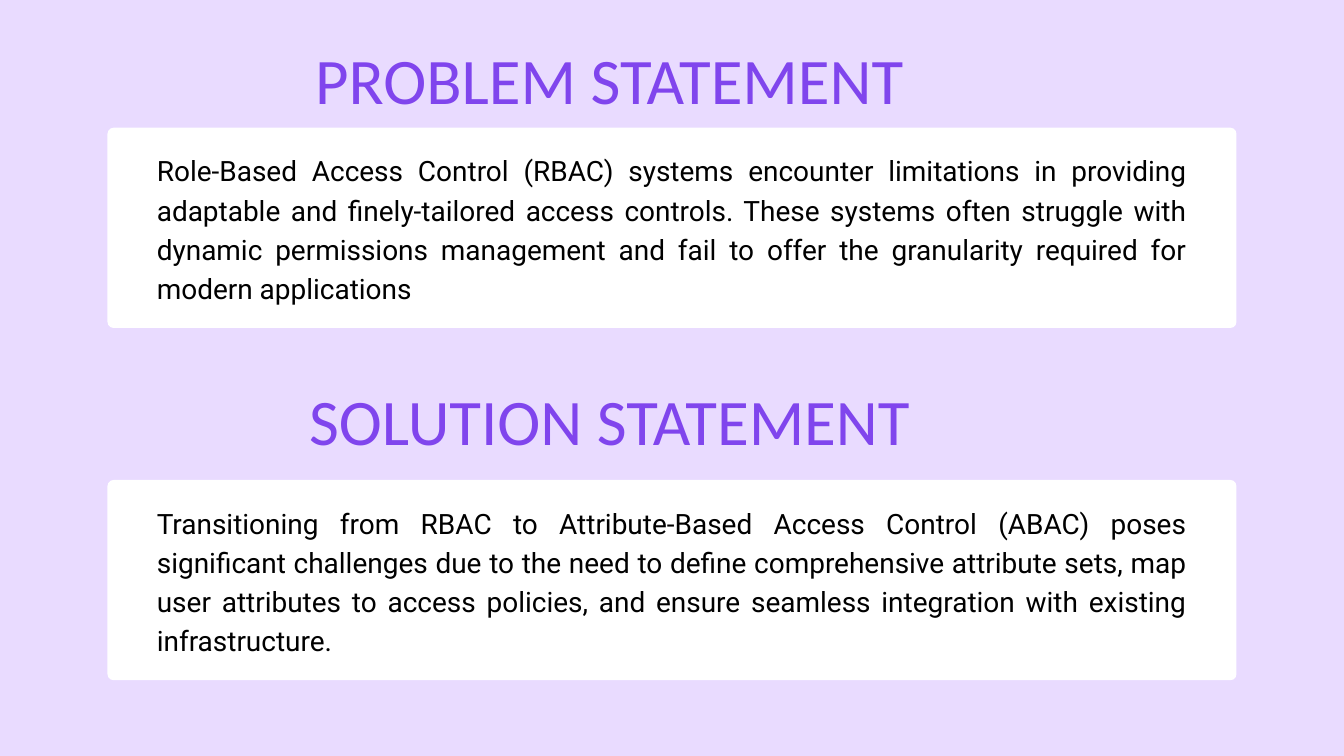
from pptx import Presentation
from pptx.dml.color import RGBColor as RGB
from pptx.enum.shapes import MSO_SHAPE as Shape
from pptx.enum.text import MSO_ANCHOR as Anchor, MSO_AUTO_SIZE as AutoSize, PP_ALIGN as Align
from pptx.util import Pt

SECTIONS = [
    {
        "heading": "PROBLEM STATEMENT",
        "heading_box": (337.7, 28.1, 764.6, 94.3),
        "body": "Role-Based Access Control (RBAC) systems encounter limitations in providing "
                "adaptable and finely-tailored access controls. These systems often struggle with "
                "dynamic permissions management and fail to offer the granularity required for "
                "modern applications",
        "body_index": 1,
        "card_top": 136.8,
    },
    {
        "heading": "SOLUTION STATEMENT",
        "heading_box": (331.2, 393.8, 777.6, 94.3),
        "body": "Transitioning from RBAC to Attribute-Based Access Control (ABAC) poses "
                "significant challenges due to the need to define comprehensive attribute sets, "
                "map user attributes to access policies, and ensure seamless integration with "
                "existing infrastructure.",
        "body_index": 3,
        "card_top": 514.2,
    },
]

THEME = {
    "background": RGB(0xE9, 0xDB, 0xFF),
    "card": RGB(0xFF, 0xFF, 0xFF),
    "heading": {"font": "Calibri", "size": 69.6, "color": RGB(0x80, 0x45, 0xED),
                "spacing": 97.4, "align": Align.LEFT},
    "body": {"font": "Roboto", "size": 30, "color": RGB(0, 0, 0),
             "spacing": 42, "align": Align.JUSTIFY},
}

SLIDE_WIDTH, SLIDE_HEIGHT = 1440, 810
CARD_WIDTH, CARD_HEIGHT, CARD_RADIUS = 1209.6, 214.6, 6.5
CARD_LEFT = (SLIDE_WIDTH - CARD_WIDTH) / 2
BODY_WIDTH, BODY_HEIGHT, BODY_INSET = 1104, 165.6, 22.2
BODY_LEFT = (SLIDE_WIDTH - BODY_WIDTH) / 2


def set_values(target, values):
    for name, value in values.items():
        setattr(target, name, value)


def place(shape, box):
    set_values(shape, dict(zip(("left", "top", "width", "height"), map(Pt, box))))


def write(shape, text, style):
    frame = shape.text_frame
    set_values(frame, {
        "margin_left": 0, "margin_top": 0, "margin_right": 0, "margin_bottom": 0,
        "word_wrap": True, "auto_size": AutoSize.NONE, "vertical_anchor": Anchor.TOP,
        "text": text,
    })
    paragraph = frame.paragraphs[0]
    set_values(paragraph, {"alignment": style["align"], "space_before": Pt(0),
                           "line_spacing": Pt(style["spacing"])})
    font = paragraph.runs[0].font
    set_values(font, {"name": style["font"], "size": Pt(style["size"]), "bold": False})
    font.color.rgb = style["color"]


def add_card(slide, top):
    card = slide.shapes.add_shape(Shape.ROUNDED_RECTANGLE, Pt(CARD_LEFT), Pt(top),
                                  Pt(CARD_WIDTH), Pt(CARD_HEIGHT))
    card.adjustments[0] = CARD_RADIUS / CARD_HEIGHT
    card.shadow.inherit = False
    card.fill.solid()
    card.fill.fore_color.rgb = THEME["card"]
    card.line.fill.background()


def main():
    presentation = Presentation()
    set_values(presentation, {"slide_width": Pt(SLIDE_WIDTH), "slide_height": Pt(SLIDE_HEIGHT)})
    slide = presentation.slides.add_slide(presentation.slide_layouts.get_by_name("Comparison"))
    slide.background.fill.solid()
    slide.background.fill.fore_color.rgb = THEME["background"]
    placeholders = {shape.placeholder_format.idx: shape for shape in slide.placeholders}
    tree = placeholders[0].element.getparent()

    for number, section in enumerate(SECTIONS):
        heading = slide.shapes.add_textbox(0, 0, 0, 0) if number else slide.shapes.title
        place(heading, section["heading_box"])
        write(heading, section["heading"], THEME["heading"])

        top = section["card_top"]
        add_card(slide, top)
        body = placeholders[section["body_index"]]
        place(body, (BODY_LEFT, top + BODY_INSET, BODY_WIDTH, BODY_HEIGHT))
        write(body, section["body"], THEME["body"])
        tree.append(body.element)

    for shape in placeholders.values():
        if not shape.text_frame.text:
            tree.remove(shape.element)

    presentation.save("out.pptx")


if __name__ == "__main__":
    main()
